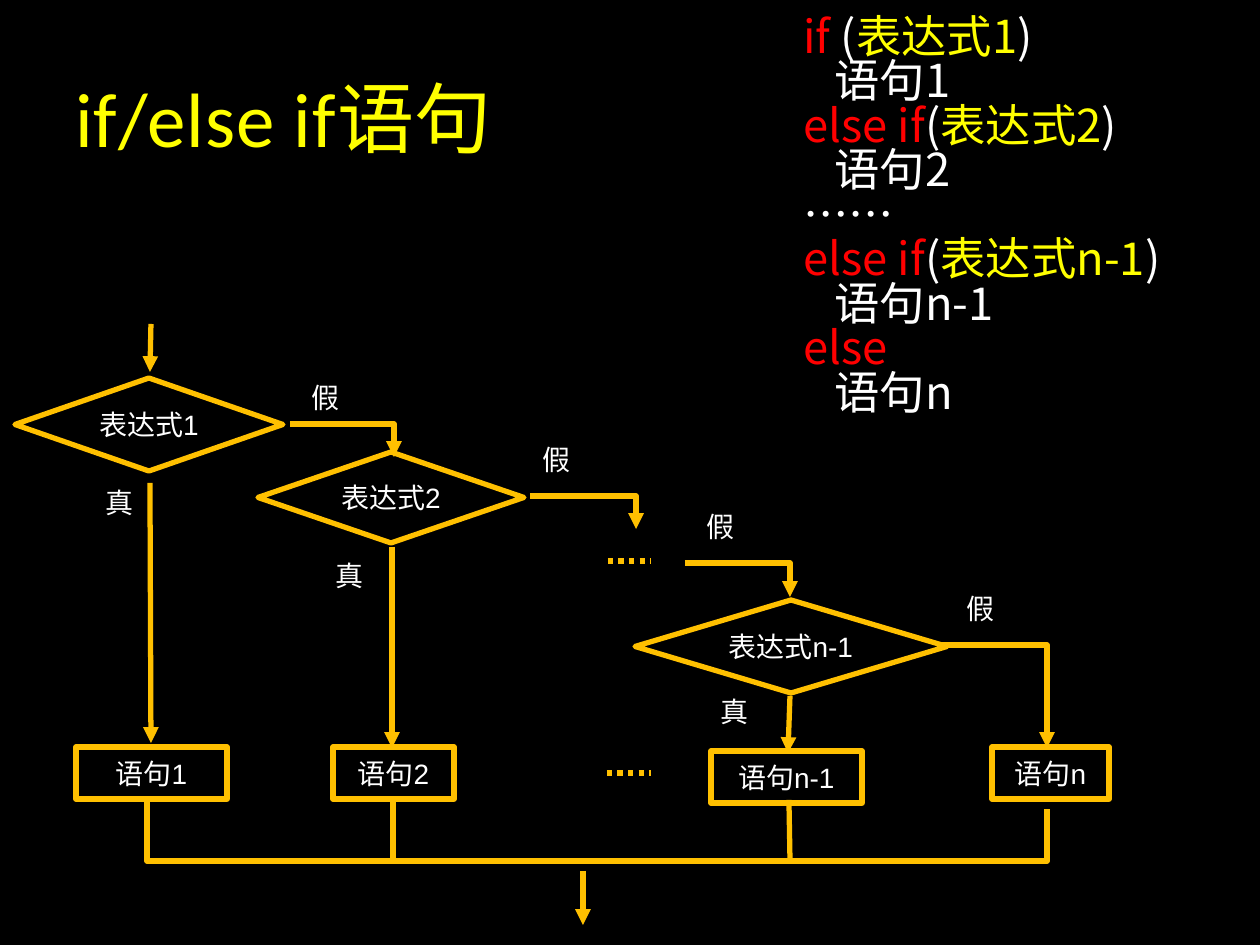
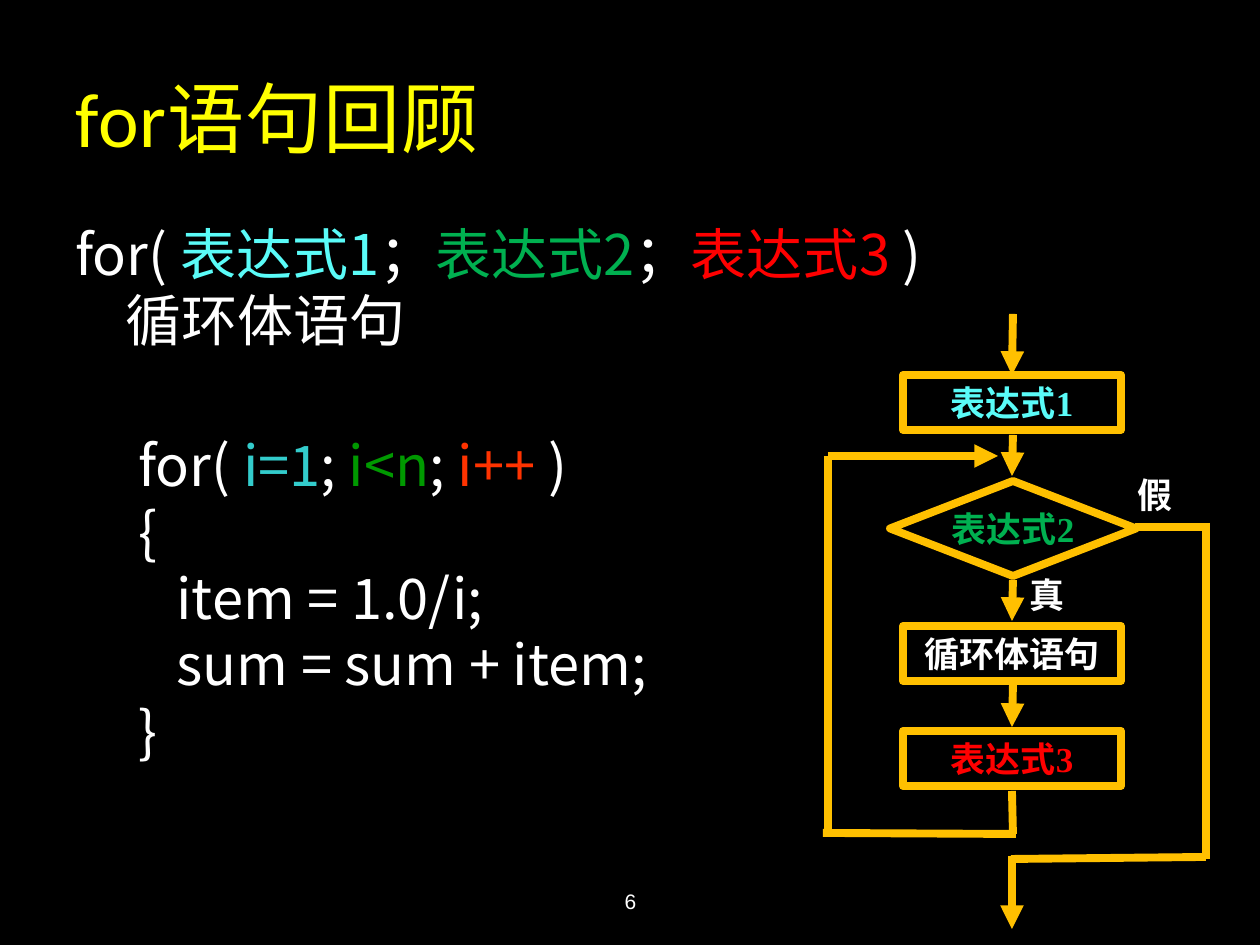
from lxml import etree
from pptx import Presentation
from pptx.dml.color import RGBColor
from pptx.enum.dml import MSO_LINE
from pptx.enum.shapes import MSO_CONNECTOR, MSO_SHAPE
from pptx.enum.text import MSO_ANCHOR, PP_ALIGN
from pptx.oxml.ns import qn
from pptx.util import Pt

SCALE = 914400 // 126
DECISION, PROCESS = MSO_SHAPE.FLOWCHART_DECISION, MSO_SHAPE.FLOWCHART_PROCESS
DIAMOND, RECTANGLE = MSO_SHAPE.DIAMOND, MSO_SHAPE.RECTANGLE
STRAIGHT, DOTTED = MSO_CONNECTOR.STRAIGHT, MSO_LINE.ROUND_DOT
TOP, MIDDLE = MSO_ANCHOR.TOP, MSO_ANCHOR.MIDDLE
LEFT, CENTER = PP_ALIGN.LEFT, PP_ALIGN.CENTER

BLACK, WHITE, YELLOW, GOLD = "000000", "FFFFFF", "FFFF00", "FFC000"
RED, CYAN, GREEN = "FF0000", "5AFBF8", "00B050"
CJK = "Noto Sans CJK SC"
TITLE_BOX = (63, 38, 1071, 157)

# Paragraphs of code: (indent, space before in points, [(text, colour), ...])
IF_CODE = [
    (0, 3, [("if", RED), (" (", WHITE), ("表达式1", YELLOW), (")", WHITE)]),
    (31, 3, [("语句1", WHITE)]),
    (0, 3, [("else if", RED), ("(", WHITE), ("表达式2", YELLOW), (")", WHITE)]),
    (31, 3, [("语句2", WHITE)]),
    (0, 3, [("……", WHITE)]),
    (0, 3, [("else if", RED), ("(", WHITE), ("表达式n-1", YELLOW), (")", WHITE)]),
    (31, 3, [("语句n-1", WHITE)]),
    (0, 3, [("else", RED)]),
    (31, 3, [("语句n", WHITE)]),
]
FOR_CODE = [
    (0, 3.3, [("for( ", WHITE), ("表达式1", CYAN), ("；", WHITE), ("表达式2", GREEN),
              ("；", WHITE), ("表达式3 ", RED), (")", WHITE)]),
    (50, 3.3, [("循环体语句", WHITE)]),
    (63, 48.3, [("for( ", WHITE), ("i=1", "33CCCC"), ("; ", WHITE),
                ("i<n", "009900"), ("; ", WHITE), ("i++ ", "FF3300"), (")", WHITE)]),
    (63, 3.3, [("{", WHITE)]),
    (101, 3.3, [("item = 1.0/i;", WHITE)]),
    (101, 3.3, [("sum = sum + item;", WHITE)]),
    (63, 3.3, [("}", WHITE)]),
]

# Flowchart nodes: (preset, text, colour, box)
IF_NODES = [
    (DECISION, "表达式1", WHITE, (15, 378, 268, 93)),
    (DECISION, "表达式2", WHITE, (258, 452, 266, 91)),
    (DECISION, "表达式n-1", WHITE, (635, 600, 312, 93)),
    (PROCESS, "语句1", WHITE, (76, 747, 151, 52)),
    (PROCESS, "语句2", WHITE, (333, 747, 121, 52)),
    (PROCESS, "语句n-1", WHITE, (711, 751, 151, 52)),
    (PROCESS, "语句n", WHITE, (992, 747, 117, 52)),
]
IF_ARROWS = [(151, 324, 150, 372), (150, 483, 151, 743), (392, 547, 392, 748),
             (790, 696, 788, 753), (583, 871, 583, 925)]
IF_JOINS = [(393, 800, 393, 858), (789, 800, 790, 859)]
IF_ELLIPSES = [(608, 561, 651, 561), (607, 773, 651, 773)]
FALSE_BRANCHES = [(290, 424, 394, 457), (530, 496, 636, 529),
                  (685, 563, 790, 597), (941, 645, 1047, 748)]
MERGE_PATH = [(147, 800), (147, 861), (1047, 861), (1047, 809)]
IF_LABELS = [("假", 299, 374), ("假", 530, 436), ("假", 694, 503), ("假", 954, 585),
             ("真", 93, 479), ("真", 323, 552), ("真", 708, 688)]

FOR_NODES = [
    (RECTANGLE, "表达式1", CYAN, (903, 375, 218, 55)),
    (DIAMOND, "表达式2", GREEN, (890, 481, 246, 95)),
    (RECTANGLE, "循环体语句", WHITE, (903, 626, 218, 55)),
    (RECTANGLE, "表达式3", RED, (903, 731, 218, 55)),
]
FOR_ARROWS = [(1013, 314, 1012, 375), (1013, 435, 1012, 476), (1013, 580, 1012, 621),
              (1013, 685, 1012, 727), (828, 456, 998, 456), (1012, 856, 1012, 929)]
FOR_LINES = [(1012, 791, 1013, 834), (823, 833, 1016, 834), (828, 456, 828, 834),
             (1135, 527, 1203, 527), (1206, 523, 1206, 859), (1011, 859, 1206, 857)]
FOR_LABELS = [("真", 1017, 567), ("假", 1125, 467)]

IF_FONT = dict(font="Arial", size=16)
FOR_FONT = dict(font="Times New Roman", size=20, bold=True)


def px(*lengths):
    """Turn pixel lengths into EMU."""
    return [round(length * SCALE) for length in lengths]


def rgb(value):
    """Return the colour of a hex string."""
    return RGBColor.from_string(value)


def write(paragraph, runs, font, size, bold=False, align=LEFT):
    """Fill a paragraph with coloured runs in one font."""
    paragraph.alignment = align
    paragraph.font.name, paragraph.font.size, paragraph.font.bold = font, Pt(size), bold
    etree.SubElement(paragraph.font._rPr, qn("a:ea")).set("typeface", CJK)
    for text, colour in runs:
        run = paragraph.add_run()
        run.text = text
        run.font.color.rgb = rgb(colour)


def add_text(slide, text, colour, box, anchor=TOP, **style):
    """Add a text box of one paragraph and return the paragraph."""
    frame = slide.shapes.add_textbox(*px(*box)).text_frame
    frame.word_wrap, frame.vertical_anchor = True, anchor
    write(frame.paragraphs[0], [(text, colour)], **style)
    return frame.paragraphs[0]


def add_code(slide, lines, box, size, line_spacing):
    """Add a block of indented, coloured code lines."""
    frame = slide.shapes.add_textbox(*px(*box)).text_frame
    frame.word_wrap = True
    for number, (indent, before, runs) in enumerate(lines):
        paragraph = frame.add_paragraph() if number else frame.paragraphs[0]
        write(paragraph, runs, CJK, size)
        paragraph.line_spacing, paragraph.space_before = line_spacing, Pt(before)
        paragraph._p.get_or_add_pPr().set("marL", str(px(indent)[0]))


def stroke(shape, width, arrow=False):
    """Give a shape or line the gold outline, with an arrowhead if asked."""
    shape.line.color.rgb, shape.line.width = rgb(GOLD), Pt(width)
    if arrow:
        etree.SubElement(shape.line._get_or_add_ln(), qn("a:tailEnd")).set("type", "triangle")


def add_nodes(slide, nodes, width, style):
    """Add outlined flowchart nodes with centred text."""
    for preset, text, colour, box in nodes:
        node = slide.shapes.add_shape(preset, *px(*box))
        node.shadow.inherit = False
        node.fill.background()
        stroke(node, width)
        node.text_frame.word_wrap, node.text_frame.vertical_anchor = False, MIDDLE
        write(node.text_frame.paragraphs[0], [(text, colour)], align=CENTER, **style)


def add_lines(slide, lines, width, arrow=False, dash=None):
    """Add straight lines given by their two ends."""
    for ends in lines:
        line = slide.shapes.add_connector(STRAIGHT, *px(*ends))
        stroke(line, width, arrow)
        if dash:
            line.line.dash_style = dash
        etree.SubElement(line._element.spPr, qn("a:effectLst"))


def add_path(slide, points, width, arrow=False):
    """Add an open bent line through the points."""
    builder = slide.shapes.build_freeform(*points[0], scale=SCALE)
    builder.add_line_segments(points[1:], close=False)
    bent = builder.convert_to_shape()
    bent.shadow.inherit = False
    bent.fill.background()
    stroke(bent, width, arrow)


def add_labels(slide, labels, style):
    """Add the true and false marks of the branches."""
    for text, left, top in labels:
        add_text(slide, text, WHITE, (left, top, 68, 50), **style)


def add_slide(deck, title):
    """Add a black slide with its yellow title."""
    slide = deck.slides.add_slide(deck.slide_layouts[6])
    slide.background.fill.solid()
    slide.background.fill.fore_color.rgb = rgb(BLACK)
    heading = add_text(slide, title, YELLOW, TITLE_BOX, MIDDLE, font="Calibri", size=44)
    heading.runs[0].font._rPr.set("spc", "50")
    return slide


def build_if_slide(deck):
    """Build the slide on the if / else if chain."""
    slide = add_slide(deck, "if/else if语句")
    add_nodes(slide, IF_NODES, 3, IF_FONT)
    add_lines(slide, IF_ARROWS, 3, arrow=True)
    add_lines(slide, IF_JOINS, 3)
    add_lines(slide, IF_ELLIPSES, 3, dash=DOTTED)
    for left, top, right, bottom in FALSE_BRANCHES:
        add_path(slide, [(left, top), (right, top), (right, bottom)], 3, arrow=True)
    add_path(slide, MERGE_PATH, 3)
    add_labels(slide, IF_LABELS, IF_FONT)
    add_code(slide, IF_CODE, (791, 16, 442, 532), 25.9, 0.72)


def build_for_slide(deck):
    """Build the slide that reviews the for loop."""
    slide = add_slide(deck, "for语句回顾")
    add_code(slide, FOR_CODE, (63, 221, 1134, 624), 32, 0.9)
    add_nodes(slide, FOR_NODES, 4.5, FOR_FONT)
    add_lines(slide, FOR_ARROWS, 4.5, arrow=True)
    add_lines(slide, FOR_LINES, 4.5)
    add_labels(slide, FOR_LABELS, FOR_FONT)
    add_text(slide, "6", WHITE, (431, 876, 399, 50), MIDDLE,
             font="Arial", size=12, align=CENTER)


presentation = Presentation()
presentation.slide_width, presentation.slide_height = px(1260, 945)
build_if_slide(presentation)
build_for_slide(presentation)
presentation.save("out.pptx")
